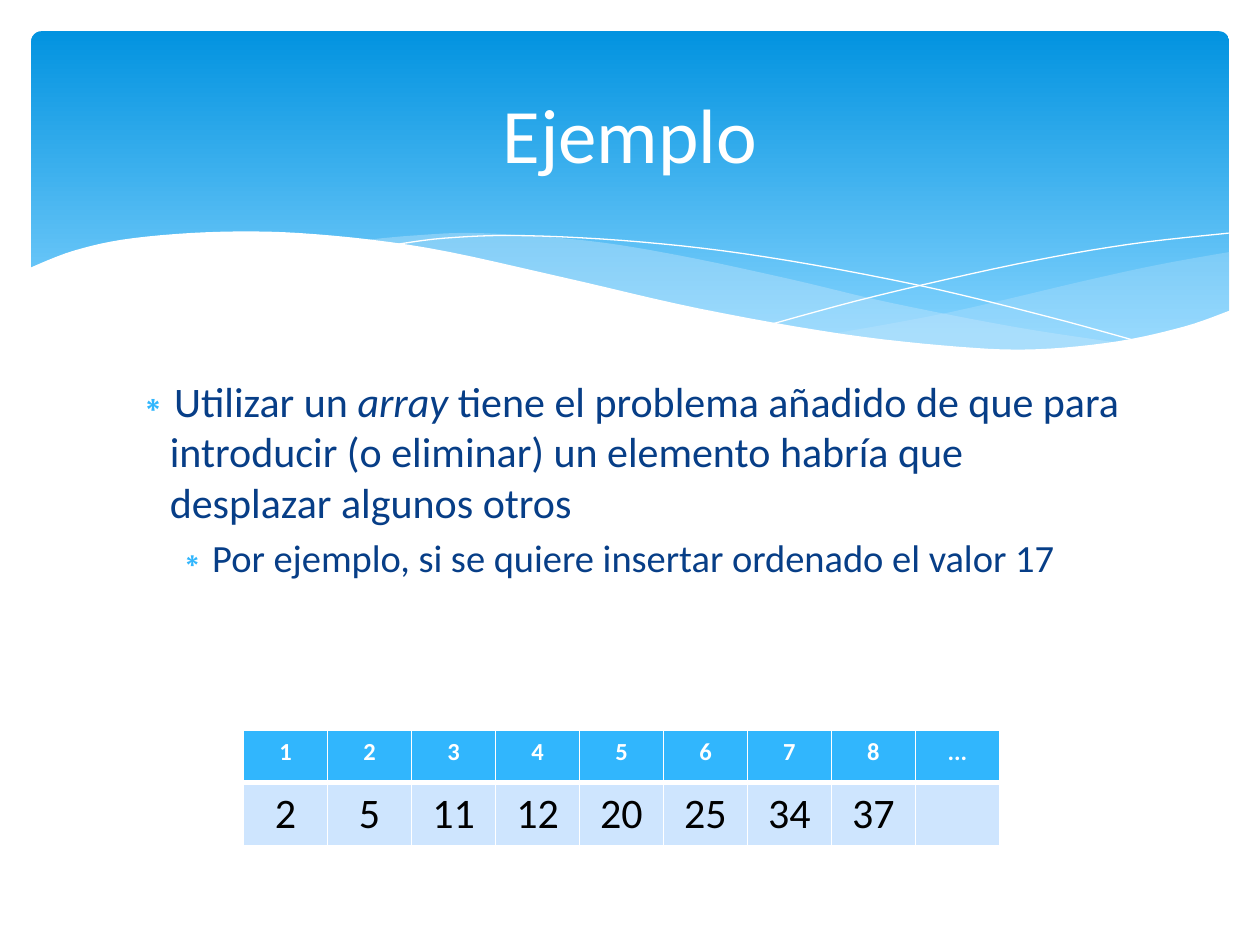
from dataclasses import dataclass

from lxml import etree
from pptx import Presentation
from pptx import util as u
from pptx.dml.color import RGBColor
from pptx.enum import shapes, text
from pptx.oxml import ns

FONT = "Calibri"
COLORS = {
    "banner top": "0293E0", "banner bottom": "83D3FE", "wave": "C6E7FC",
    "white": "FFFFFF", "accent": "31B6FD", "body": "073E87",
    "cell": "CEE5FE", "black": "000000",
}
Points = list[tuple[float, float]]


@dataclass
class Wave:
    """An area between smooth curves, in cm; opacity in percent."""
    curves: list[Points]
    color: str
    opacity: int = 100


@dataclass
class Bullet:
    spans: list[tuple[str, bool]]  # wording, italic
    level: int
    size: int
    left: float


@dataclass
class TableRow:
    values: list[str]
    size: int
    bold: bool
    color: str
    fill: str
    top_border: int
    bottom_border: int


WAVES = [
    Wave([[(24.79, 5.08), (23.39, 5.33), (21.87, 5.66), (19.13, 6.3), (16.79, 6.73)],
          [(16.79, 6.73), (18.59, 6.96), (20.4, 7.06), (22.15, 6.96), (23.57, 6.68),
           (24.79, 6.27)]], "wave", 29),
    Wave([[(22.68, 6.93), (20.5, 6.6), (17.93, 6.1), (15.98, 5.64), (13.74, 5.16),
           (11.81, 4.85), (9.65, 4.7), (8.33, 4.75), (7.26, 4.85)],
          [(7.26, 4.85), (9.19, 5.16), (11.4, 5.64), (14.38, 6.3), (16.89, 6.76),
           (19, 7.01), (20.78, 7.06), (22.68, 6.93)]], "wave", 40),
]
THIN_LINES = [
    [(7.85, 4.95), (8.97, 4.8), (10.57, 4.75), (12.95, 4.88), (15.44, 5.18),
     (18.47, 5.74), (21.11, 6.38), (23.04, 6.91)],
    [(15.57, 6.53), (17.65, 5.97), (20.47, 5.33), (22.73, 4.93), (24.77, 4.7)],
]
LOWER_EDGE = Wave([
    [(0.58, 5.41), (1.5, 5.05), (2.69, 4.8), (4.5, 4.67), (6.35, 4.72), (8.64, 5),
     (11.35, 5.59), (14.1, 6.22), (16.97, 6.73), (19.33, 6.99), (20.9, 7.04),
     (22.53, 6.88), (23.88, 6.58), (24.82, 6.25)],
    [(24.82, 8.36), (0.58, 8.36)]], "white")
BULLETS = [
    Bullet([("Utilizar un ", False), ("array", True),
            (" tiene el problema añadido de que para introducir (o eliminar) un "
             "elemento habría que desplazar algunos otros", False)], 0, 24, 0.76),
    Bullet([("Por ejemplo, si se quiere insertar ordenado el valor 17", False)],
           1, 22, 1.6),
]
ROWS = [
    TableRow([*"12345678", "..."], 14, True, "white", "accent", 1, 3),
    TableRow(["2", "5", "11", "12", "20", "25", "34", "37", ""],
             24, False, "black", "cell", 3, 1),
]


def rgb(name: str) -> RGBColor:
    return RGBColor.from_string(COLORS[name])


def add_element(parent, tag: str, **attributes: str):
    return etree.SubElement(parent, ns.qn(tag), attributes)


def smooth(points: Points, steps: int = 6) -> Points:
    """Run a Catmull-Rom spline through the points."""
    if len(points) < 3:
        return points
    padded = [points[0], *points, points[-1]]
    curve = [points[0]]
    for a, b, c, d in zip(padded, padded[1:], padded[2:], padded[3:]):
        for step in range(1, steps + 1):
            t = step / steps
            curve.append(tuple(
                (2 * q + (r - p) * t + (2 * p - 5 * q + 4 * r - s) * t ** 2
                 + (3 * q - p - 3 * r + s) * t ** 3) / 2
                for p, q, r, s in zip(a, b, c, d)))
    return curve


def add_curve(page, curves: list[Points], close: bool):
    start, *rest = [(u.Cm(x), u.Cm(y)) for points in curves for x, y in smooth(points)]
    builder = page.shapes.build_freeform(*start)
    builder.add_line_segments(rest, close=close)
    shape = builder.convert_to_shape()
    shape.shadow.inherit = False
    return shape


def add_wave(page, wave: Wave) -> None:
    shape = add_curve(page, wave.curves, close=True)
    shape.line.fill.background()
    shape.fill.solid()
    shape.fill.fore_color.rgb = rgb(wave.color)
    if wave.opacity < 100:
        color = shape.fill._xPr.find(f".//{ns.qn('a:srgbClr')}")
        add_element(color, "a:alpha", val=str(wave.opacity * 1000))


def add_thin_line(page, points: Points) -> None:
    shape = add_curve(page, [points], close=False)
    shape.fill.background()
    shape.line.color.rgb = rgb("white")
    shape.line.width = 0


def add_banner(page) -> None:
    banner = page.shapes.add_shape(shapes.MSO_SHAPE.ROUNDED_RECTANGLE, u.Cm(0.63),
                                   u.Cm(0.63), u.Cm(24.15), u.Cm(6.86))
    banner.adjustments[0] = 0.03
    banner.shadow.inherit = False
    banner.line.fill.background()
    banner.fill.gradient()
    banner.fill.gradient_angle = 270
    stops = banner.fill.gradient_stops
    for stop, position, name in zip(stops, (0, 0.9), ("banner top", "banner bottom")):
        stop.position = position
        stop.color.rgb = rgb(name)


def place(box, left: float, top: float, width: float, height: float) -> None:
    """Move a placeholder and bring it to the front."""
    box.left, box.top, box.width, box.height = map(u.Cm, (left, top, width, height))
    box.text_frame.auto_size = text.MSO_AUTO_SIZE.NONE
    tree = box._element.getparent()
    tree.append(box._element)


def set_font(para, size: int, color: str, bold: bool = False) -> None:
    para.font.name = FONT
    para.font.size = u.Pt(size)
    para.font.bold = bold
    para.font.color.rgb = rgb(color)


def fill_title(box) -> None:
    place(box, 1.27, 0.94, 22.86, 3.48)
    box.text_frame.text = "Ejemplo"
    box.text_frame.vertical_anchor = text.MSO_ANCHOR.MIDDLE
    para = box.text_frame.paragraphs[0]
    para.alignment = text.PP_ALIGN.CENTER
    set_font(para, 44, "white")


def fill_body(box) -> None:
    place(box, 2.41, 7.44, 20.57, 9.58)
    frame = box.text_frame
    for index, bullet in enumerate(BULLETS):
        para = frame.add_paragraph() if index else frame.paragraphs[0]
        para.level = bullet.level
        para.space_before = u.Pt(bullet.size * 0.2)
        properties = para._p.get_or_add_pPr()
        properties.set("marL", str(u.Cm(bullet.left)))
        properties.set("indent", str(-u.Cm(0.76)))
        add_element(add_element(properties, "a:buClr"), "a:srgbClr", val=COLORS["accent"])
        add_element(properties, "a:buChar", char="∗")
        set_font(para, bullet.size, "body")
        for wording, italic in bullet.spans:
            span = para.add_run()
            span.text = wording
            if italic:
                span.font.italic = True


def format_cell(cell, row: TableRow) -> None:
    properties = cell._tc.get_or_add_tcPr()
    for side, width in zip("LRTB", (1, 1, row.top_border, row.bottom_border)):
        border = add_element(properties, f"a:ln{side}", w=str(u.Pt(width)))
        add_element(add_element(border, "a:solidFill"), "a:srgbClr", val=COLORS["white"])
    cell.fill.solid()
    cell.fill.fore_color.rgb = rgb(row.fill)
    para = cell.text_frame.paragraphs[0]
    para.alignment = text.PP_ALIGN.CENTER
    set_font(para, row.size, row.color, row.bold)


def add_array_table(page) -> None:
    table = page.shapes.add_table(len(ROWS), len(ROWS[0].values), u.Cm(4.91),
                                  u.Cm(14.73), u.Cm(15.24), u.Cm(2.08)).table
    for index, row in enumerate(ROWS):
        for cell, value in zip(table.rows[index].cells, row.values):
            cell.text = value
            format_cell(cell, row)


def main() -> None:
    deck = Presentation()
    deck.slide_width, deck.slide_height = u.Cm(25.4), u.Cm(19.05)
    page = deck.slides.add_slide(deck.slide_layouts[1])
    title, body = page.placeholders
    add_banner(page)
    for wave in WAVES:
        add_wave(page, wave)
    for points in THIN_LINES:
        add_thin_line(page, points)
    add_wave(page, LOWER_EDGE)
    fill_body(body)
    fill_title(title)
    add_array_table(page)
    deck.save("out.pptx")


if __name__ == "__main__":
    main()
